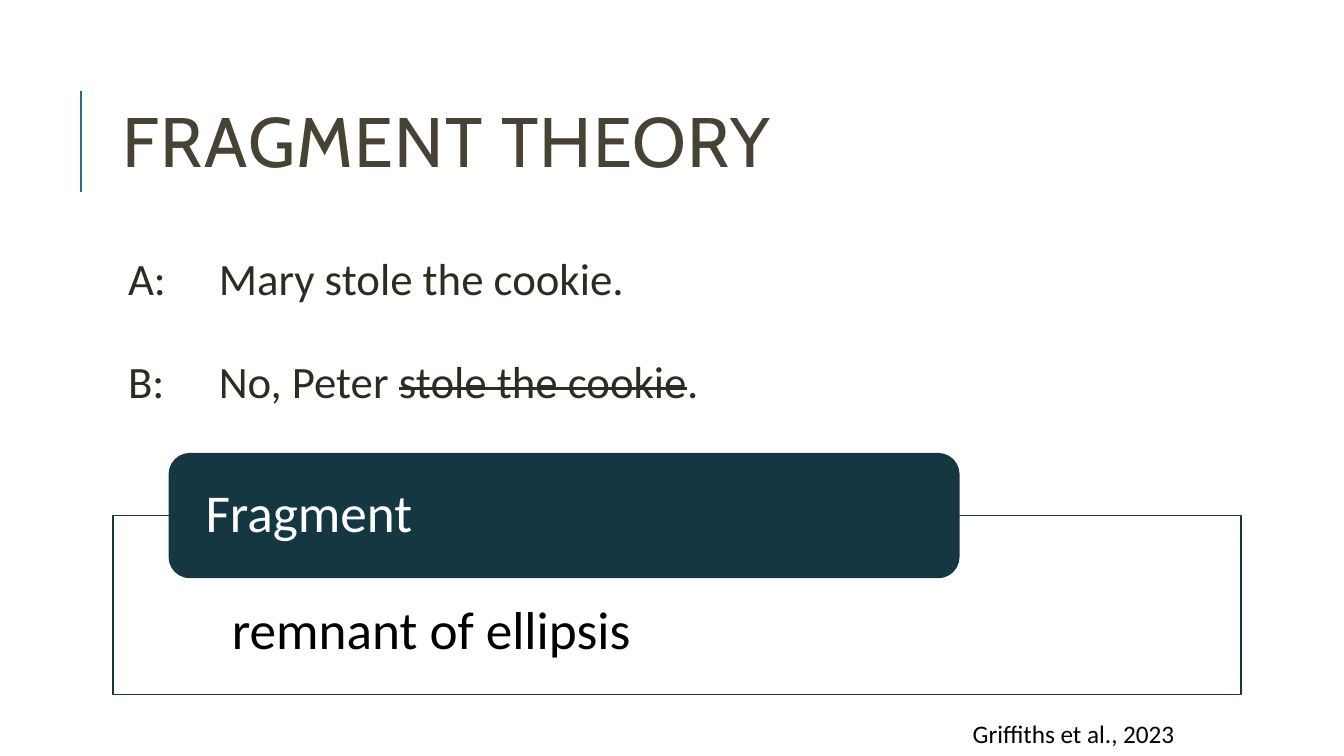
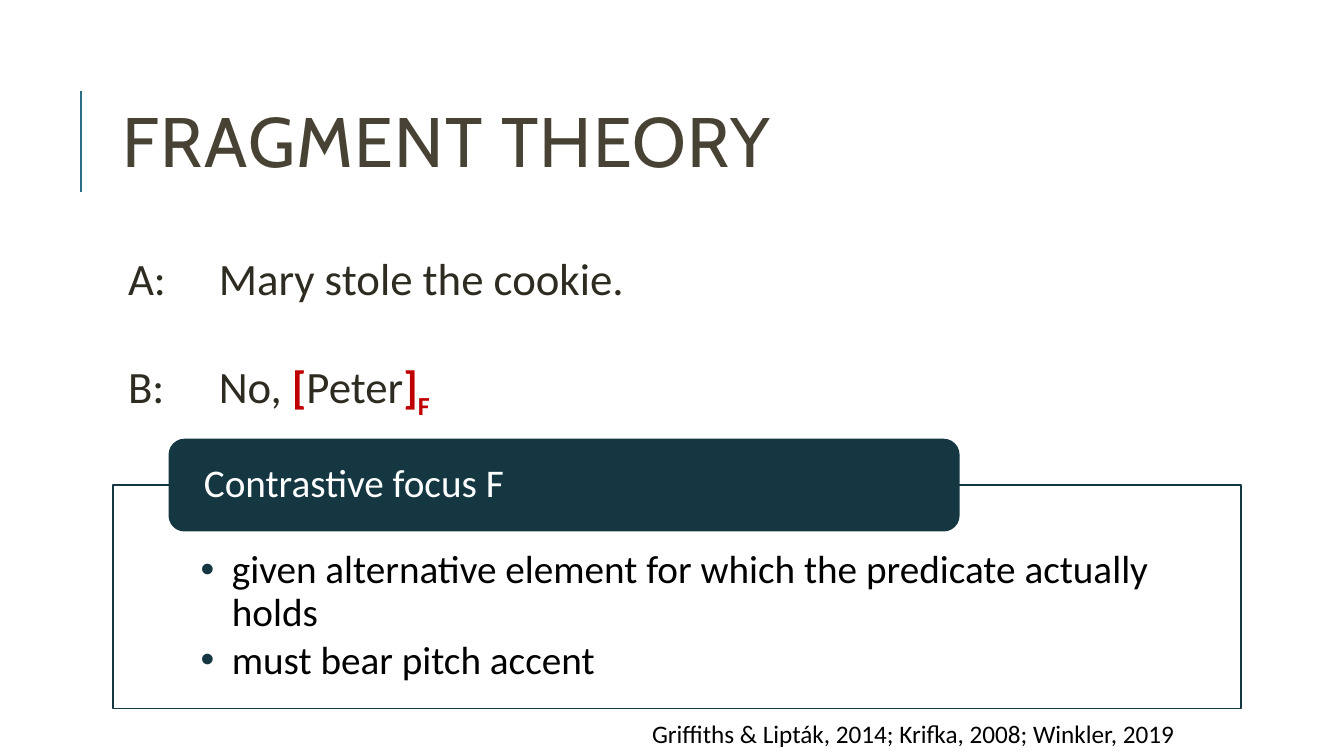
import dataclasses

import lxml.etree
import pptx
import pptx.dml.color
import pptx.enum.shapes
import pptx.enum.text
import pptx.oxml.ns
import pptx.util

SHAPE = pptx.enum.shapes.MSO_SHAPE
ALIGN = pptx.enum.text.PP_ALIGN
ANCHOR = pptx.enum.text.MSO_ANCHOR


@dataclasses.dataclass(frozen=True)
class Theme:
    """Colours, fonts and type sizes shared by the slides."""
    title_font: str = "Cabin"
    body_font: str = "Calibri"
    title_ink: str = "474233"
    body_ink: str = "2E2B21"
    black: str = "000000"
    white: str = "FFFFFF"
    rule: str = "286E84"
    panel: str = "143742"
    focus: str = "C00000"
    title_size: int = 50
    example_size: int = 32
    source_size: int = 18


@dataclasses.dataclass(frozen=True)
class Box:
    """A rectangle in slide units."""
    left: int
    top: int
    width: int
    height: int

    def share(self, left, top, width, height):
        """Return the box that covers the given shares of this one."""
        return Box(int(self.left + left * self.width), int(self.top + top * self.height),
                   int(width * self.width), int(height * self.height))

    def grid(self, column, row, columns, rows):
        """Return a box on a grid of 100 columns by 100 rows."""
        return self.share(column / 100, row / 100, columns / 100, rows / 100)

    def place(self):
        """Return the four lengths in the order that shapes take them."""
        return self.left, self.top, self.width, self.height


THEME = Theme()
PAGE = Box(0, 0, pptx.util.Inches(13.33), pptx.util.Inches(7.5))
TITLE = PAGE.grid(8.4, 8.53, 79.73, 21.87)
EXAMPLE = PAGE.grid(8.4, 33.33, 79.73, 58.67)
SOURCE = PAGE.grid(39.75, 94.4, 48.38, 4)


def colour(value):
    """Turn a hex value into a colour."""
    return pptx.dml.color.RGBColor.from_string(value)


def child(parent, tag, **attributes):
    """Append a drawing element to a parent."""
    return lxml.etree.SubElement(parent, pptx.oxml.ns.qn(tag), attributes)


def write(para, text, size, ink, font=THEME.body_font, bold=False, **attributes):
    """Add a formatted span of text to a paragraph."""
    span = para.add_run()
    span.text = text
    span.font.name, span.font.size = font, pptx.util.Pt(size)
    span.font.bold, span.font.color.rgb = bold, colour(ink)
    for name, value in attributes.items():
        span.font._element.set(name, value)


def set_frame(frame, anchor=ANCHOR.TOP, margins=(0.1, 0.05, 0.1, 0.05)):
    """Make a text frame wrap, with its anchor and margins in inches."""
    frame.word_wrap = True
    frame.auto_size = pptx.enum.text.MSO_AUTO_SIZE.NONE
    frame.vertical_anchor = anchor
    frame.margin_left, frame.margin_top, frame.margin_right, frame.margin_bottom = map(
        pptx.util.Inches, margins)


def set_para(para, align=ALIGN.LEFT, line=0.9, before=0, after=0, indent=0, hang=0):
    """Set the alignment, spacing and hanging indent of a paragraph."""
    para.alignment, para.line_spacing = align, line
    para.space_before, para.space_after = pptx.util.Pt(before), pptx.util.Pt(after)
    properties = para._p.get_or_add_pPr()
    properties.set("marL", str(pptx.util.Inches(indent)))
    properties.set("indent", str(-pptx.util.Inches(hang)))
    return properties


def paragraphs(frame, count):
    """Return the given number of paragraphs in a new text frame."""
    return [frame.paragraphs[0]] + [frame.add_paragraph() for _ in range(count - 1)]


def add_title(page, box, text):
    """Fill the title placeholder and draw the rule beside it."""
    title = page.shapes.title
    title.left, title.top, title.width, title.height = box.place()
    set_frame(title.text_frame, ANCHOR.MIDDLE)
    para = title.text_frame.paragraphs[0]
    set_para(para, line=0.8)
    write(para, text, THEME.title_size, THEME.title_ink, THEME.title_font, spc="100")
    mark = box.share(-0.03, 0.16, 0, 0.61)
    rule = page.shapes.add_connector(
        pptx.enum.shapes.MSO_CONNECTOR.STRAIGHT,
        mark.left, mark.top + mark.height, mark.left, mark.top)
    rule.line.color.rgb, rule.line.width = colour(THEME.rule), pptx.util.Pt(1.5)
    child(rule._element.spPr, "a:effectLst")


def add_example(page, box, turns):
    """Write the turns of a dialogue, each a list of text and format pairs."""
    frame = page.shapes.add_textbox(*box.place()).text_frame
    set_frame(frame, margins=(0.05,) * 4)
    for index, (para, spans) in enumerate(zip(paragraphs(frame, len(turns)), turns)):
        set_para(para, before=37 if index else 12, after=2, indent=1, hang=0.9)
        for text, style in spans:
            write(para, text, THEME.example_size, **{"ink": THEME.body_ink, **style})


def add_panel_shape(page, kind, box, fill):
    """Add an outlined shape of the callout."""
    shape = page.shapes.add_shape(kind, *box.place())
    shape.shadow.inherit = False
    shape.fill.solid()
    shape.fill.fore_color.rgb = colour(fill)
    shape.line.color.rgb, shape.line.width = colour(THEME.panel), pptx.util.Pt(1)
    return shape


def add_callout(page, box, heading, points, size, bullets):
    """Draw a heading tab over the top edge of a panel of points."""
    em = size / 72
    tab_share = pptx.util.Inches(2.33 * em) / box.height
    panel = add_panel_shape(page, SHAPE.RECTANGLE,
                            box.share(0, tab_share / 2, 1, 1 - tab_share / 2), THEME.white)
    child(panel._element.spPr.find(".//" + pptx.oxml.ns.qn("a:srgbClr")), "a:alpha", val="90000")
    set_frame(panel.text_frame, margins=(0.87, 1.65 * em, 0.87, 0.57 * em))
    for para, text in zip(paragraphs(panel.text_frame, len(points)), points):
        properties = set_para(para, after=0.15 * size, indent=0.31, hang=0.31 if bullets else 0)
        if bullets:
            child(child(properties, "a:buClr"), "a:srgbClr", val=THEME.panel)
            child(properties, "a:buFont", typeface="Arial")
            child(properties, "a:buChar", char="•")
        write(para, text, size, THEME.black)
    tab = add_panel_shape(page, SHAPE.ROUNDED_RECTANGLE,
                          box.share(0.05, 0, 0.7, tab_share), THEME.panel)
    set_frame(tab.text_frame, ANCHOR.MIDDLE, (0.3, 0, 0.3, 0))
    para = tab.text_frame.paragraphs[0]
    set_para(para)
    write(para, heading, size, THEME.white)


def add_source(page, box, text):
    """Write the right-aligned references at the foot."""
    frame = page.shapes.add_textbox(*box.place()).text_frame
    set_frame(frame)
    set_para(frame.paragraphs[0], ALIGN.RIGHT, line=1)
    write(frame.paragraphs[0], text, THEME.source_size, THEME.black)


def add_theory_page(deck, answer, callout_box, source, **callout):
    """Add a slide with a dialogue, a callout and its references."""
    page = deck.slides.add_slide(deck.slide_layouts[5])
    add_title(page, TITLE, "FRAGMENT THEORY")
    add_example(page, EXAMPLE, [[("A:\tMary stole the cookie.", {})], answer])
    add_callout(page, callout_box, **callout)
    add_source(page, SOURCE, source)


def main():
    """Build and save the deck."""
    deck = pptx.Presentation()
    deck.slide_width, deck.slide_height = PAGE.width, PAGE.height
    focus = {"ink": THEME.focus, "bold": True}
    add_theory_page(
        deck,
        [("B:\tNo, Peter ", {}), ("stole the cookie", {"strike": "sngStrike"}), (".", {})],
        PAGE.grid(8.4, 60, 83.93, 31.87),
        "Griffiths et al., 2023",
        heading="Fragment", points=["remnant of ellipsis"], size=38, bullets=False)
    add_theory_page(
        deck,
        [("B:\tNo, ", {}), ("[", focus), ("Peter", {}), ("]", focus),
         ("F", {**focus, "baseline": "-25000"})],
        PAGE.grid(8.4, 58.13, 83.93, 35.6),
        "Griffiths & Lipták, 2014; Krifka, 2008; Winkler, 2019",
        heading="Contrastive focus F",
        points=["given alternative element for which the predicate actually holds",
                "must bear pitch accent"],
        size=28, bullets=True)
    deck.save("out.pptx")


if __name__ == "__main__":
    main()
